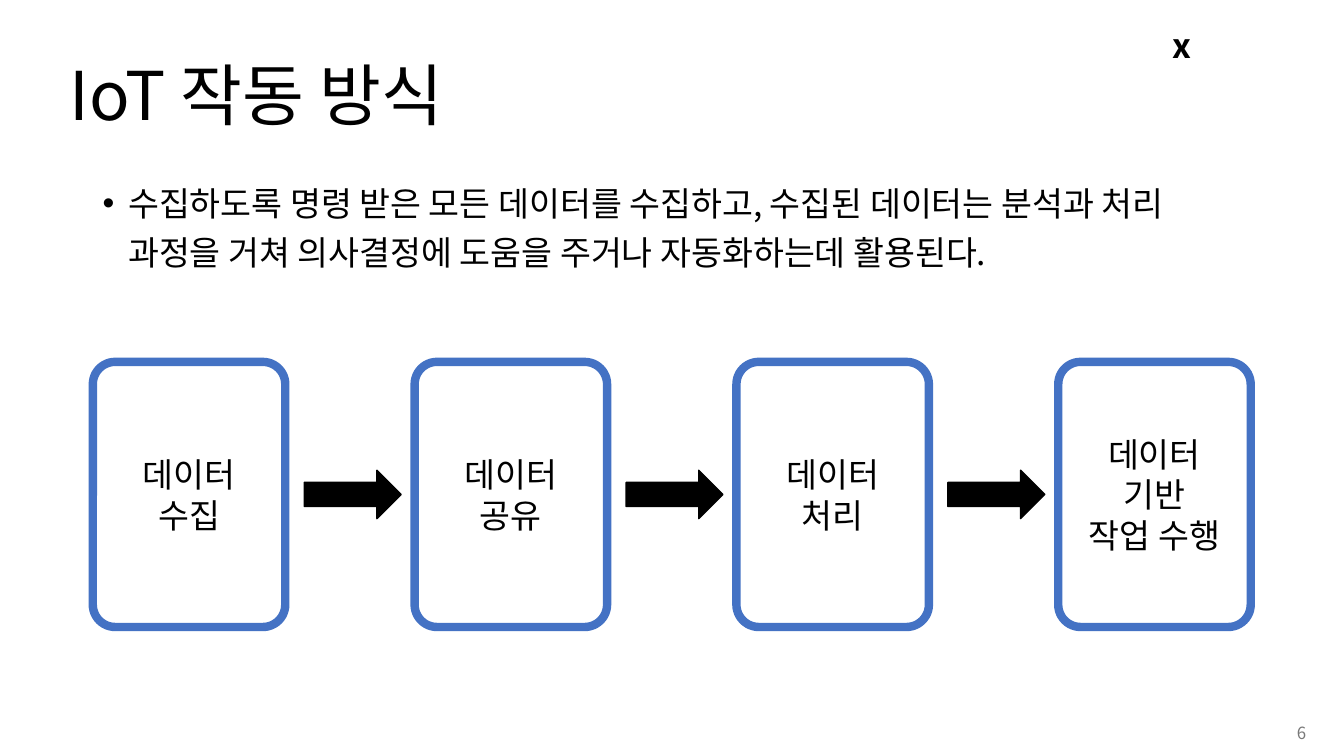
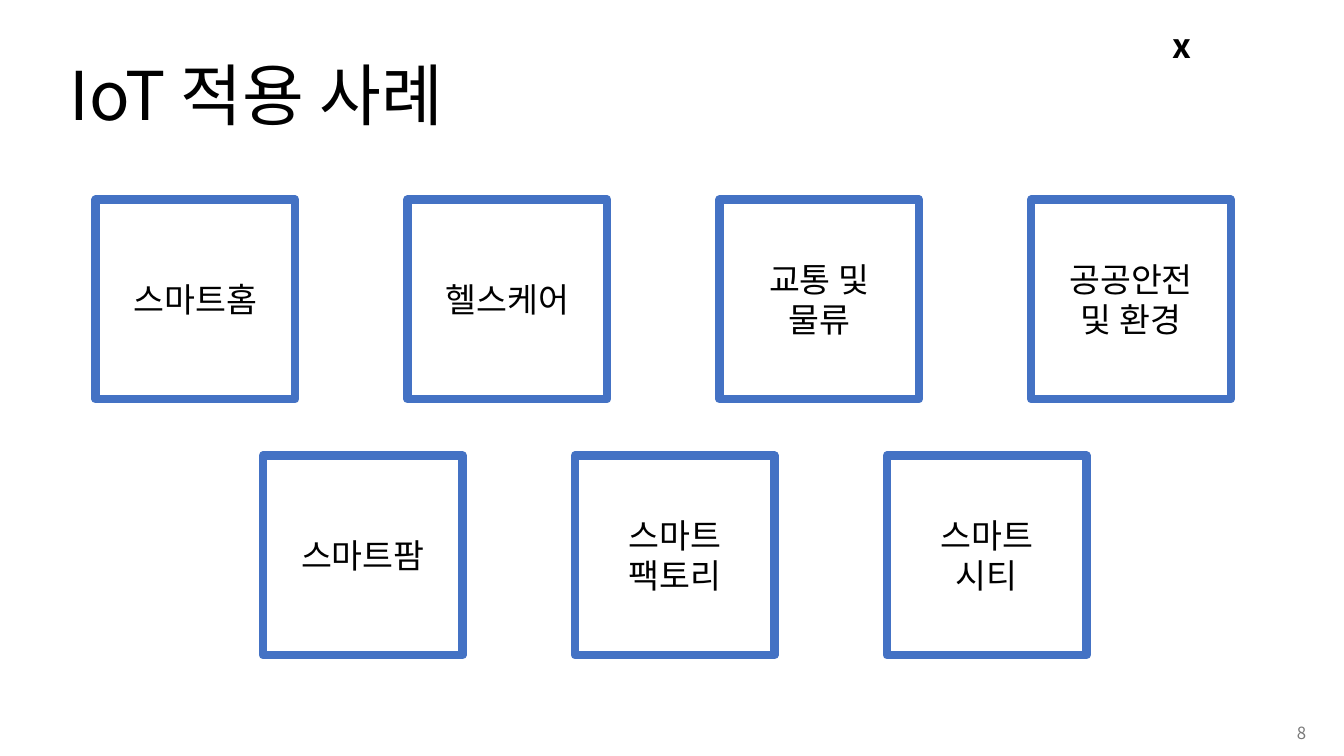
from lxml import etree
from pptx import Presentation
from pptx.dml.color import RGBColor
from pptx.enum.shapes import MSO_SHAPE
from pptx.enum.text import MSO_ANCHOR, PP_ALIGN
from pptx.oxml.ns import qn
from pptx.util import Cm, Pt

RECT, ROUND, ARROW = MSO_SHAPE.RECTANGLE, MSO_SHAPE.ROUNDED_RECTANGLE, MSO_SHAPE.RIGHT_ARROW
TOP, MID = MSO_ANCHOR.TOP, MSO_ANCHOR.MIDDLE
LEFT, CENTER, RIGHT = PP_ALIGN.LEFT, PP_ALIGN.CENTER, PP_ALIGN.RIGHT
COLORS = {"ink": "000000", "edge": "4472C4", "page": "797979"}
FONT = "Noto Sans CJK KR"
WIDTH, HEIGHT = 33.87, 19.05


def color(name):
    """Return a named colour."""
    return RGBColor.from_string(COLORS[name])


def write(shape, text, size, align=LEFT, anchor=MID, tint="ink", bold=False, space=None):
    """Put styled text into a shape."""
    frame = shape.text_frame
    frame.text = text
    frame.word_wrap = True
    frame.vertical_anchor = anchor
    for para in frame.paragraphs:
        para.alignment = align
        para.line_spacing = space
        for run in para.runs:
            font = run.font
            font.size = Pt(size)
            font.bold = bold
            font.color.rgb = color(tint)
            font.name = FONT
            etree.SubElement(font._element, qn("a:ea"), typeface=FONT)


def label(slide, box, text, size, **style):
    """Add a text box and return it."""
    shape = slide.shapes.add_textbox(*map(Cm, box))
    write(shape, text, size, **style)
    return shape


def bullet(para, indent):
    """Give a paragraph a round bullet with a hanging indent."""
    props = para._p.get_or_add_pPr()
    props.set("marL", str(Cm(indent)))
    props.set("indent", str(-Cm(indent)))
    etree.SubElement(props, qn("a:buFont"), typeface="Arial")
    etree.SubElement(props, qn("a:buChar"), char="•")


def panel(slide, kind, box, text):
    """Add an outlined panel with a centred caption."""
    shape = slide.shapes.add_shape(kind, *map(Cm, box))
    shape.shadow.inherit = False
    shape.fill.background()
    shape.line.color.rgb = color("edge")
    shape.line.width = Pt(6)
    if kind == ROUND:
        shape.adjustments[0] = 0.116
    write(shape, text, 24, align=CENTER)


def arrow(slide, box):
    """Add a solid block arrow."""
    shape = slide.shapes.add_shape(ARROW, *map(Cm, box))
    shape.shadow.inherit = False
    shape.fill.solid()
    shape.fill.fore_color.rgb = color("ink")
    shape.line.color.rgb = color("ink")
    shape.line.width = Pt(1)


def base(deck, title, page):
    """Add a slide with its mark, title and page number."""
    slide = deck.slides.add_slide(deck.slide_layouts[6])
    mark = label(slide, (29.31, 0.61, 0.81, 0.89), "x", 24, anchor=TOP, bold=True, space=0.9)
    mark.text_frame.word_wrap = False
    label(slide, (1.5, 0.64, 29.21, 3.68), title, 48, space=0.9)
    label(slide, (25.55, 17.96, 7.62, 1.02), page, 12, align=RIGHT, tint="page")
    return slide


def intro(slide, box, text):
    """Add a bulleted paragraph."""
    shape = label(slide, box, text, 24, anchor=TOP, space=1.2)
    bullet(shape.text_frame.paragraphs[0], 0.64)


def flow(slide, box, steps):
    """Spread steps evenly over a box with arrows between them."""
    left, top, width, height = box
    wide, long, thick = 4.85, 2.44, 1.22
    pitch = (width - wide) / (len(steps) - 1)
    for i, step in enumerate(steps):
        x = left + i * pitch
        panel(slide, ROUND, (x, top, wide, height), step)
        if i:
            arrow(slide, (x - 2.78, top + (height - thick) / 2, long, thick))


def row(slide, left, top, names):
    """Set square panels in a row at a fixed pitch."""
    side, pitch = 5.03, 7.86
    for i, name in enumerate(names):
        panel(slide, RECT, (left + i * pitch, top, side, side), name)


def main():
    """Build and save the deck."""
    deck = Presentation()
    deck.slide_width, deck.slide_height = Cm(WIDTH), Cm(HEIGHT)

    slide = base(deck, "IoT 작동 방식", "6")
    intro(slide, (2.34, 4.29, 29.21, 12.85),
          "수집하도록 명령 받은 모든 데이터를 수집하고, 수집된 데이터는 분석과 처리 "
          "과정을 거쳐 의사결정에 도움을 주거나 자동화하는데 활용된다.")
    flow(slide, (2.34, 9.12, 29.18, 6.68),
         ["데이터\n수집", "데이터\n공유", "데이터\n처리", "데이터\n기반\n작업 수행"])

    slide = base(deck, "IoT 적용 사례", "8")
    row(slide, 2.41, 5.03, ["스마트홈", "헬스케어", "교통 및\n물류", "공공안전\n및 환경"])
    row(slide, 6.63, 11.48, ["스마트팜", "스마트\n팩토리", "스마트\n시티"])

    deck.save("out.pptx")


if __name__ == "__main__":
    main()
